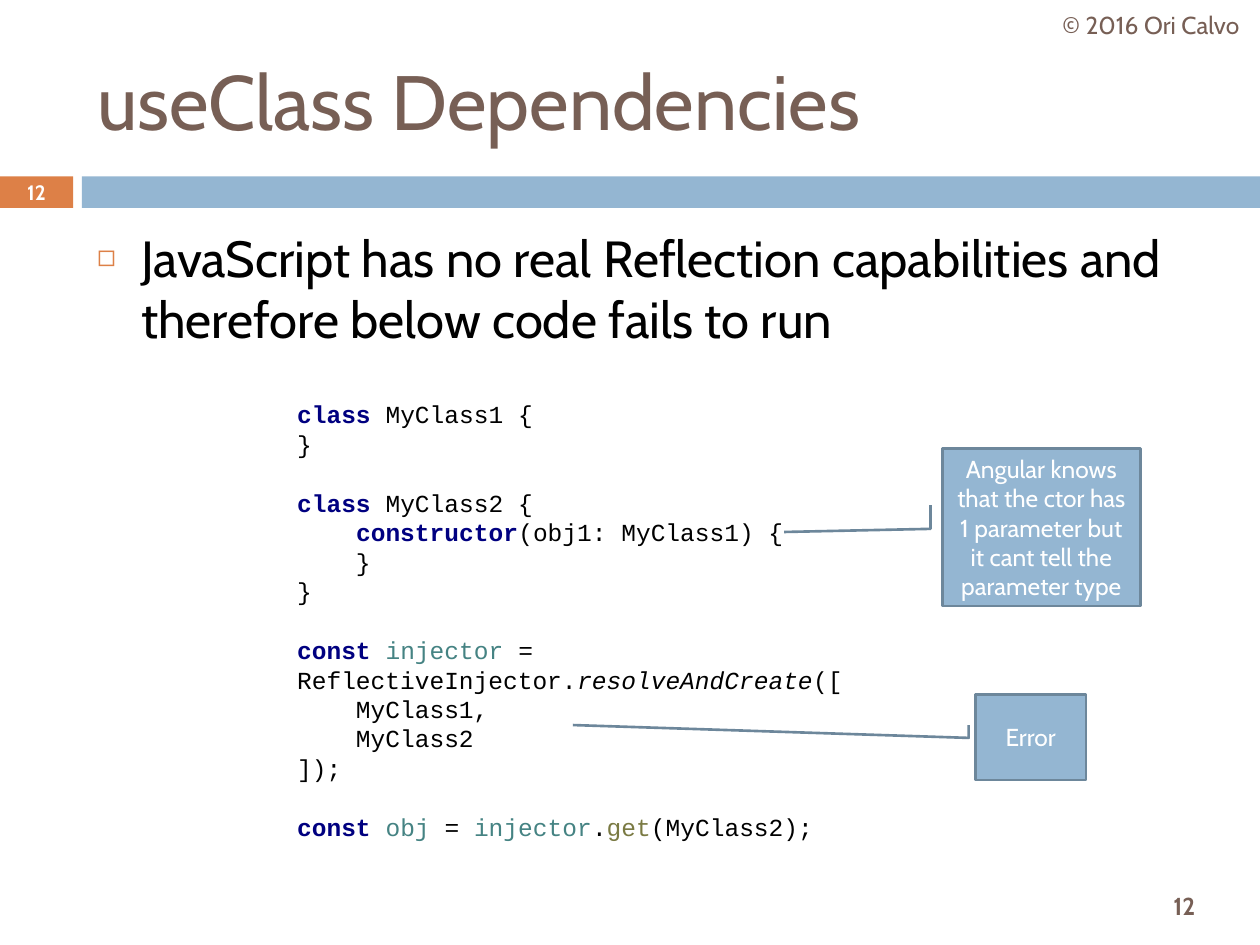
"""Build the slide about useClass dependencies and missing reflection."""
from dataclasses import dataclass
from typing import Optional

from lxml.etree import SubElement
from pptx import Presentation
from pptx.dml.color import RGBColor
from pptx.enum.shapes import MSO_SHAPE as Preset
from pptx.enum.text import MSO_ANCHOR as Anchor, MSO_AUTO_SIZE as AutoSize, PP_ALIGN as Align
from pptx.oxml.ns import qn
from pptx.util import Inches, Pt

WHITE = RGBColor(0xFF, 0xFF, 0xFF)
BLACK = RGBColor(0x00, 0x00, 0x00)
BROWN = RGBColor(0x77, 0x5F, 0x55)
ORANGE = RGBColor(0xDD, 0x80, 0x47)
BLUE = RGBColor(0x94, 0xB6, 0xD2)
STEEL = RGBColor(0x6D, 0x87, 0x9B)
NAVY = RGBColor(0x00, 0x00, 0x80)
TEAL = RGBColor(0x45, 0x83, 0x83)
OLIVE = RGBColor(0x7A, 0x7A, 0x43)

WIDTH, HEIGHT = Inches(10), Inches(7.5)
COLUMNS, ROWS = 100, 75
CODE_PITCH = Pt(16.85)


@dataclass(frozen=True)
class Area:
    column: float
    row: float
    columns: float
    rows: float

    def place(self) -> tuple[int, int, int, int]:
        across, down = WIDTH / COLUMNS, HEIGHT / ROWS
        return (round(self.column * across), round(self.row * down),
                round(self.columns * across), round(self.rows * down))


@dataclass(frozen=True)
class Style:
    size: float
    color: RGBColor
    bold: bool = False
    italic: bool = False
    face: str = "Cabin"


@dataclass(frozen=True)
class Label:
    area: Area
    text: str
    style: Style


@dataclass(frozen=True)
class Callout:
    area: Area
    text: str
    tip_down: float
    tip_across: float


def code_style(color: RGBColor, bold: bool = False, italic: bool = False) -> Style:
    return Style(14, color, bold, italic, "Courier New")


KEYWORD = code_style(NAVY, bold=True)
PLAIN = code_style(BLACK)
METHOD = code_style(BLACK, italic=True)
VARIABLE = code_style(TEAL)
MEMBER = code_style(OLIVE)
NOTE = Style(14, WHITE)

TITLE_AREA = Area(6.7, 2.5, 89.2, 10.8)
BODY_AREA = Area(6.7, 17.5, 89.2, 12.9)
CODE_AREA = Area(22.6, 31.2, 57.5, 36.4)
BANDS = [(Area(0, 14, 5.8, 2.5), ORANGE), (Area(6.5, 14, 93.5, 2.5), BLUE)]
LABELS = [
    Label(Area(89.4, 69.8, 9.2, 4.2), "12", Style(14, BROWN, bold=True)),
    Label(Area(82.7, 0, 17.3, 4), "© 2016 Ori Calvo", Style(14, BROWN)),
    Label(Area(0, 13.9, 5.8, 2.7), "12", Style(11.9, WHITE, bold=True)),
]
CALLOUTS = [
    Callout(Area(74.8, 35.6, 15.7, 12.5),
            "Angular knows that the ctor has 1 parameter but it cant tell the parameter type",
            0.53, -0.8),
    Callout(Area(77.4, 55.1, 8.8, 6.8), "Error", 0.36, -3.63),
]
CODE_BLOCKS = [
    [[("class ", KEYWORD), ("MyClass1 {", PLAIN)],
     [("}", PLAIN)]],
    [[("class ", KEYWORD), ("MyClass2 {", PLAIN)],
     [("    ", PLAIN), ("constructor", KEYWORD), ("(obj1: MyClass1) {", PLAIN)],
     [("    }", PLAIN)],
     [("}", PLAIN)]],
    [[("const ", KEYWORD), ("injector ", VARIABLE), ("= ReflectiveInjector.", PLAIN),
      ("resolveAndCreate", METHOD), ("([", PLAIN)],
     [("    MyClass1,", PLAIN)],
     [("    MyClass2", PLAIN)],
     [("]);", PLAIN)]],
    [[("const ", KEYWORD), ("obj ", VARIABLE), ("= ", PLAIN), ("injector", VARIABLE),
      (".", PLAIN), ("get", MEMBER), ("(MyClass2);", PLAIN)]],
]


def add_span(para, text: str, style: Style) -> None:
    span = para.add_run()
    span.text = text
    font = span.font
    font.name, font.size = style.face, Pt(style.size)
    font.bold, font.italic = style.bold, style.italic
    font.color.rgb = style.color


def fill_frame(frame, text: str, style: Style, anchor: Anchor, align: Align):
    frame.word_wrap = True
    frame.auto_size = AutoSize.NONE
    frame.vertical_anchor = anchor
    para = frame.paragraphs[0]
    para.alignment = align
    add_span(para, text, style)
    return para


def add_preset(page, preset: Preset, area: Area, fill: RGBColor, line: Optional[RGBColor] = None):
    shape = page.shapes.add_shape(preset, *area.place())
    shape.shadow.inherit = False
    shape.fill.solid()
    shape.fill.fore_color.rgb = fill
    if line is None:
        shape.line.fill.background()
    else:
        shape.line.color.rgb = line
        shape.line.width = Pt(1.5)
    return shape


def fill_placeholder(shape, area: Area, text: str, style: Style, anchor: Anchor):
    shape.left, shape.top, shape.width, shape.height = area.place()
    return fill_frame(shape.text_frame, text, style, anchor, Align.LEFT)


def add_bullet(para, indent: float) -> None:
    para.space_before = Pt(0)
    settings = para._p.get_or_add_pPr()
    settings.set("marL", str(Inches(indent)))
    settings.set("indent", str(-Inches(indent)))
    color = SubElement(settings, qn("a:buClr"))
    SubElement(color, qn("a:srgbClr"), val=str(ORANGE))
    SubElement(settings, qn("a:buSzPct"), val="60000")
    SubElement(settings, qn("a:buChar"), char="◻")


def add_label(page, label: Label) -> None:
    box = page.shapes.add_textbox(*label.area.place())
    fill_frame(box.text_frame, label.text, label.style, Anchor.MIDDLE, Align.CENTER)


def add_callout(page, callout: Callout) -> None:
    shape = add_preset(page, Preset.LINE_CALLOUT_2, callout.area, BLUE, STEEL)
    points = (0.36, -0.06, 0.51, -0.06, callout.tip_down, callout.tip_across)
    for index, value in enumerate(points):
        shape.adjustments[index] = value
    fill_frame(shape.text_frame, callout.text, NOTE, Anchor.MIDDLE, Align.CENTER)


def add_code(page) -> None:
    frame = page.shapes.add_textbox(*CODE_AREA.place()).text_frame
    frame.word_wrap = True
    for block_index, block in enumerate(CODE_BLOCKS):
        for line_index, line in enumerate(block):
            first = block_index == line_index == 0
            para = frame.paragraphs[0] if first else frame.add_paragraph()
            para.line_spacing = CODE_PITCH
            if block_index and not line_index:
                para.space_before = CODE_PITCH
            for text, style in line:
                add_span(para, text, style)


def main() -> None:
    deck = Presentation()
    deck.slide_width, deck.slide_height = WIDTH, HEIGHT
    page = deck.slides.add_slide(deck.slide_layouts[1])
    for area, color in BANDS:
        add_preset(page, Preset.RECTANGLE, area, color)
    fill_placeholder(page.shapes.title, TITLE_AREA, "useClass Dependencies",
                     Style(44, BROWN), Anchor.MIDDLE)
    para = fill_placeholder(
        page.placeholders[1], BODY_AREA,
        "JavaScript has no real Reflection capabilities and therefore below code fails to run",
        Style(29, BLACK), Anchor.TOP)
    add_bullet(para, 0.35)
    for label in LABELS:
        add_label(page, label)
    add_code(page)
    for callout in CALLOUTS:
        add_callout(page, callout)
    deck.save("out.pptx")


if __name__ == "__main__":
    main()
